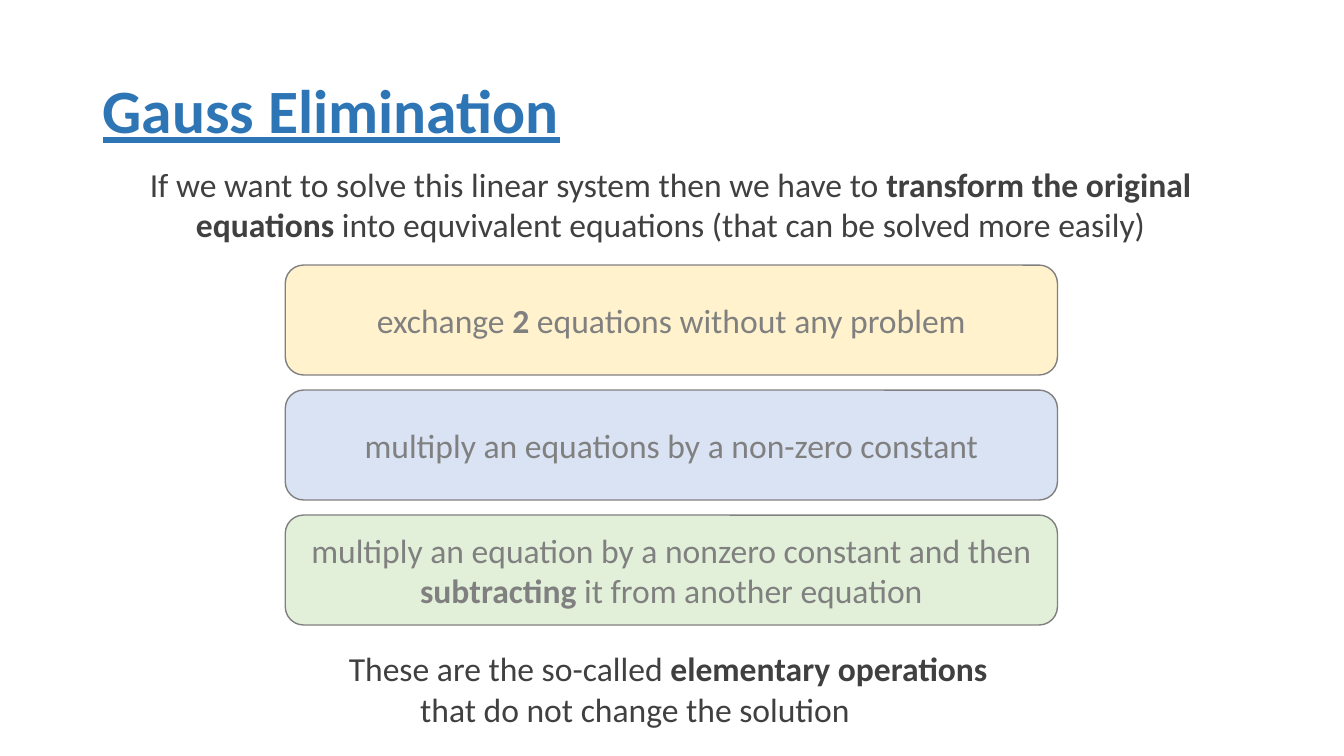
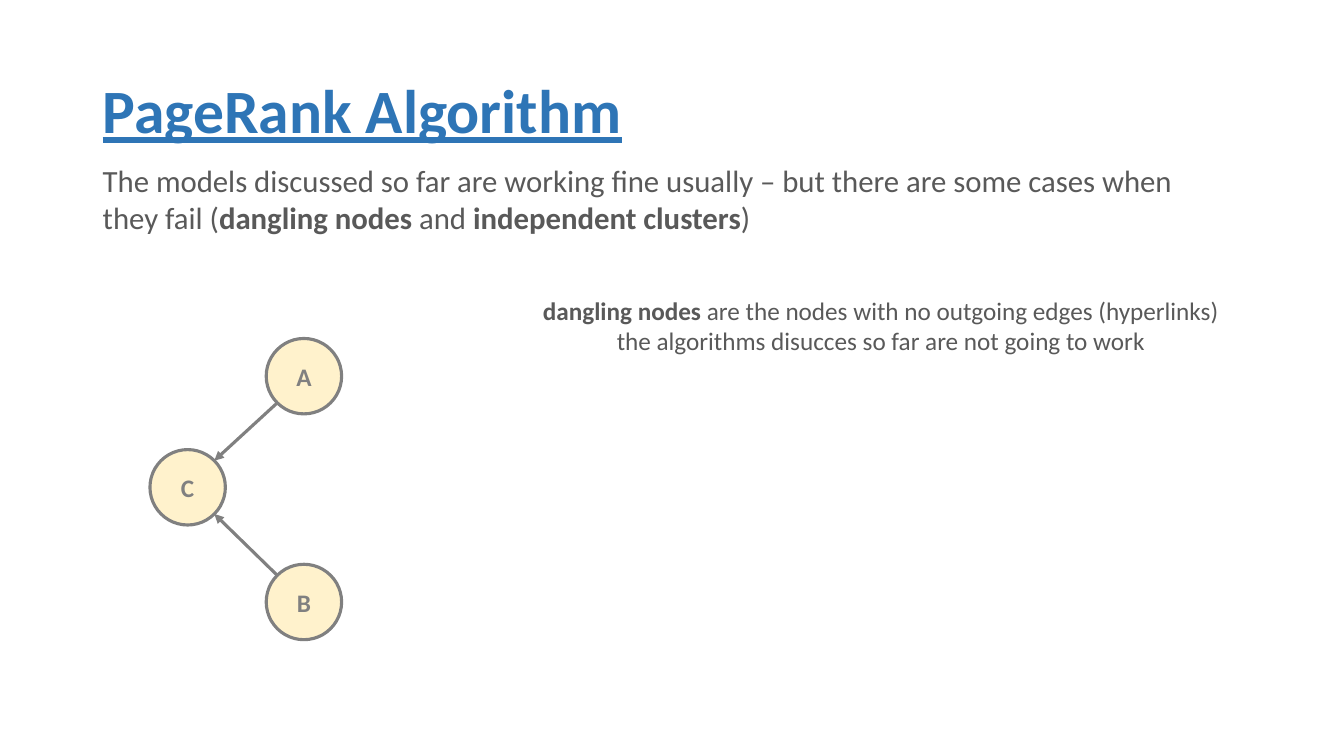
"""Build two lecture slides: Gauss elimination and the PageRank algorithm."""
import math

from pptx import Presentation
from pptx import util as u
from pptx.dml.color import RGBColor
from pptx.enum import shapes, text
from pptx.oxml.ns import qn
from lxml import etree

FONT = "Calibri"
BLUE = RGBColor(0x2E, 0x75, 0xB6)
DARK = RGBColor(0x40, 0x40, 0x40)
SLATE = RGBColor(0x59, 0x59, 0x59)
GREY = RGBColor(0x80, 0x80, 0x80)
CREAM = RGBColor(0xFF, 0xF2, 0xCC)
PALE_BLUE = RGBColor(0xDA, 0xE3, 0xF3)
PALE_GREEN = RGBColor(0xE2, 0xF0, 0xD9)
LEFT, CENTER = text.PP_ALIGN.LEFT, text.PP_ALIGN.CENTER
MIDDLE = text.MSO_ANCHOR.MIDDLE


def write(box, lines, size, color, align=LEFT):
    """Write one paragraph per line; asterisks enclose bold words."""
    frame = box.text_frame
    frame.word_wrap = True
    for index, line in enumerate(lines):
        para = frame.paragraphs[0] if index == 0 else frame.add_paragraph()
        para.alignment = align
        para.font.name, para.font.size = FONT, u.Pt(size)
        para.font.color.rgb = color
        for part, words in enumerate(line.split("*")):
            if words:
                span = para.add_run()
                span.text = words
                if part % 2:
                    span.font.bold = True
    return frame


def add_filled(page, kind, place, fill, line_width, label, size):
    """Add a grey-outlined shape with a centred label."""
    shape = page.shapes.add_shape(kind, *map(u.Cm, place))
    shape.shadow.inherit = False
    shape.fill.solid()
    shape.fill.fore_color.rgb = fill
    shape.line.color.rgb = GREY
    shape.line.width = u.Pt(line_width)
    write(shape, [label], size, GREY, CENTER).vertical_anchor = MIDDLE


deck = Presentation()
deck.slide_width, deck.slide_height = u.Cm(33.87), u.Cm(19.05)
pages = []
for heading in ("Gauss Elimination", "PageRank Algorithm"):
    page = deck.slides.add_slide(deck.slide_layouts[6])
    title = page.shapes.add_textbox(u.Cm(2.34), u.Cm(1.02), u.Cm(29.2), u.Cm(3.68))
    frame = write(title, [heading], 44, BLUE)
    frame.vertical_anchor = MIDDLE
    para = frame.paragraphs[0]
    para.line_spacing = 0.9
    para.font.bold = para.font.underline = True
    pages.append(page)
gauss, pagerank = pages

intro = gauss.shapes.add_textbox(u.Cm(3.3), u.Cm(4.01), u.Cm(27.2), u.Cm(2.3))
write(intro, ["If we want to solve this linear system then we have to *transform the original "
              "equations* into equvivalent equations (that can be solved more easily)"],
      24, DARK, CENTER)

operations = [
    ("exchange *2* equations without any problem", CREAM),
    ("multiply an equations by a non-zero constant", PALE_BLUE),
    ("multiply an equation by a nonzero constant and then *subtracting* it from another equation",
     PALE_GREEN),
]
for row, (label, fill) in enumerate(operations):
    add_filled(gauss, shapes.MSO_SHAPE.ROUNDED_RECTANGLE,
               (7.19, 6.68 + 3.15 * row, 19.46, 2.77), fill, 1, label, 24)

closing = gauss.shapes.add_textbox(u.Cm(8.54), u.Cm(16.21), u.Cm(18), u.Cm(2.3))
frame = write(closing, ["These are the so-called *elementary operations*",
                        "that do not change the solution"], 24, DARK)
frame.paragraphs[1]._p.get_or_add_pPr().set("marL", str(u.Cm(1.8)))

summary = pagerank.shapes.add_textbox(u.Cm(2.34), u.Cm(3.96), u.Cm(27.79), u.Cm(2.13))
write(summary, ["The models discussed so far are working fine usually – but there are some cases "
                "when they fail (*dangling nodes* and *independent clusters*)"], 22, SLATE)

remark = pagerank.shapes.add_textbox(u.Cm(12.2), u.Cm(7.32), u.Cm(20), u.Cm(1.8))
write(remark, ["*dangling nodes* are the nodes with no outgoing edges (hyperlinks)",
               "the algorithms disucces so far are not going to work"], 18, SLATE, CENTER)

RADIUS = 0.95
centers = {"A": (7.66, 9.48), "C": (4.73, 12.28), "B": (7.66, 15.17)}
for name, (x, y) in centers.items():
    add_filled(pagerank, shapes.MSO_SHAPE.OVAL,
               (x - RADIUS, y - RADIUS, 2 * RADIUS, 2 * RADIUS), CREAM, 2.25, f"*{name}*", 18)

reach = RADIUS * math.sqrt(0.5)
end_x, end_y = centers["C"]
for name, down in (("B", -1), ("A", 1)):
    x, y = centers[name]
    edge = pagerank.shapes.add_connector(
        shapes.MSO_CONNECTOR.STRAIGHT, u.Cm(x - reach), u.Cm(y + down * reach),
        u.Cm(end_x + reach), u.Cm(end_y - down * reach))
    edge.line.color.rgb = GREY
    edge.line.width = u.Pt(2.25)
    etree.SubElement(edge.line._get_or_add_ln(), qn("a:tailEnd"), type="triangle")
    etree.SubElement(edge._element.spPr, qn("a:effectLst"))

deck.save("out.pptx")
